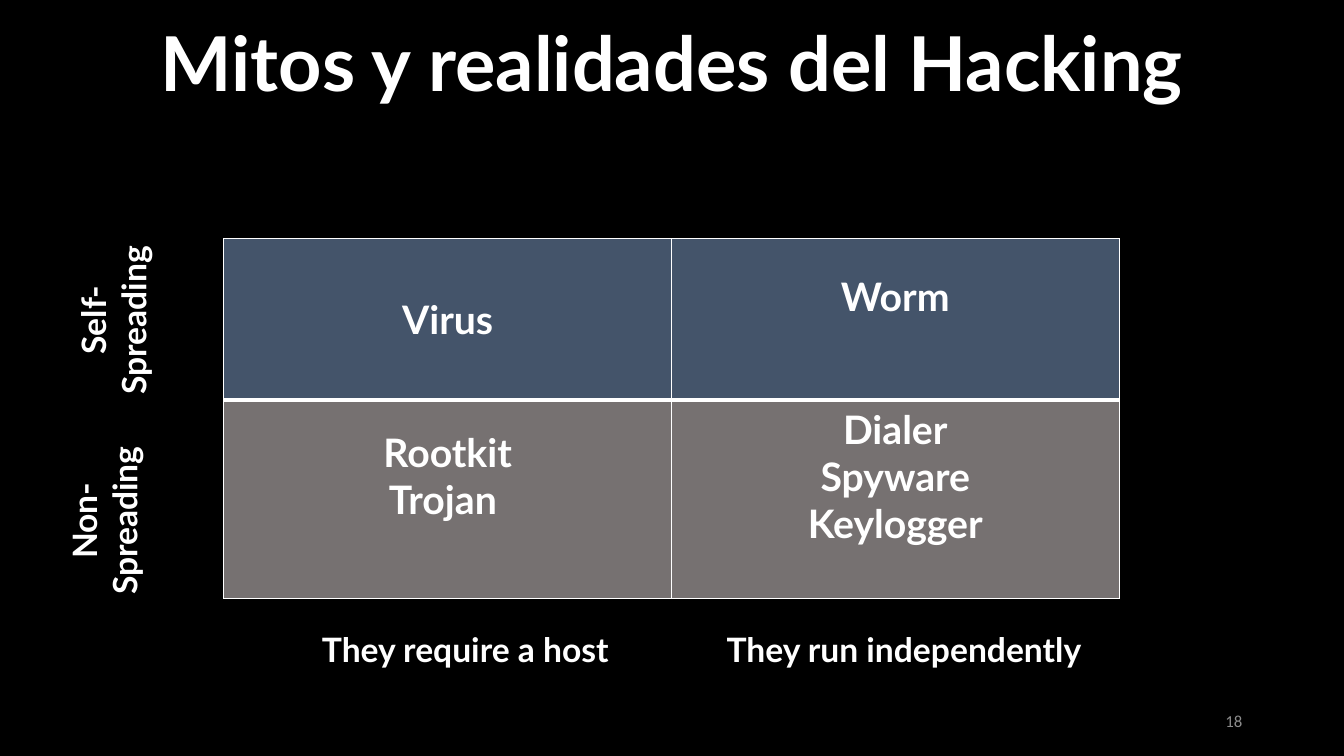
from dataclasses import dataclass

import lxml.etree
import pptx
import pptx.dml.color
import pptx.enum.text
import pptx.oxml.ns
import pptx.util

Inches = pptx.util.Inches
Pt = pptx.util.Pt
RGBColor = pptx.dml.color.RGBColor
Align = pptx.enum.text.PP_ALIGN
Anchor = pptx.enum.text.MSO_ANCHOR
AutoSize = pptx.enum.text.MSO_AUTO_SIZE


@dataclass(frozen=True)
class Theme:
    background: str = "000000"
    text: str = "FFFFFF"
    muted: str = "8C8C8C"
    spreading: str = "44546A"
    non_spreading: str = "767171"
    font: str = "Lato"
    number_font: str = "Calibri"
    title_size: int = 54
    cell_size: int = 28
    label_size: int = 24
    number_size: int = 12
    thin_border: int = 1
    thick_border: int = 3


@dataclass(frozen=True)
class Label:
    text: str
    left: float
    top: float
    width: float
    height: float
    rotation: int = 0
    wrap: bool = False


@dataclass(frozen=True)
class Quadrant:
    row: int
    column: int
    names: tuple[str, ...]
    bottom_margin: float = 0.05


THEME = Theme()
ROW_HEIGHTS = (1.6, 1.97)
COLUMN_WIDTHS = (4.44, 4.44)
ROW_FILLS = (THEME.spreading, THEME.non_spreading)
RAISED = 0.51

LABELS = (
    Label("They require a host", 3.08, 6.19, 3.07, 0.5),
    Label("They run independently", 7.08, 6.19, 3.77, 0.5),
    Label("Non-Spreading", -0.14, 4.71, 2.35, 0.91, 270, True),
    Label("Self-Spreading", 0.14, 2.72, 1.97, 0.91, 270, True),
)
QUADRANTS = (
    Quadrant(0, 0, ("Virus",)),
    Quadrant(0, 1, ("Worm",), RAISED),
    Quadrant(1, 0, ("Rootkit", "Trojan "), RAISED),
    Quadrant(1, 1, ("Dialer", "Spyware", "Keylogger"), RAISED),
)


def write(frame, lines: tuple[str, ...], size: int, color: str = THEME.text,
          font: str = THEME.font, bold: bool = True, align=Align.CENTER) -> None:
    for index, line in enumerate(lines):
        para = frame.paragraphs[0] if index == 0 else frame.add_paragraph()
        para.text = line
        para.alignment = align
        para.font.name = font
        para.font.size = Pt(size)
        para.font.bold = bold
        para.font.color.rgb = RGBColor.from_string(color)


def add_border(cell, side: str, points: int) -> None:
    qn = pptx.oxml.ns.qn
    properties = cell._tc.get_or_add_tcPr()
    line = lxml.etree.SubElement(properties, qn(f"a:ln{side}"), w=str(Pt(points)))
    fill = lxml.etree.SubElement(line, qn("a:solidFill"))
    lxml.etree.SubElement(fill, qn("a:srgbClr"), val=THEME.text)


def add_title(slide) -> None:
    title = slide.shapes.title
    title.left, title.top = Inches(0), Inches(0.11)
    title.width, title.height = Inches(13.33), Inches(1.01)
    frame = title.text_frame
    frame.auto_size = AutoSize.NONE
    frame.vertical_anchor = Anchor.TOP
    write(frame, ("Mitos y realidades del Hacking",), THEME.title_size)


def add_label(slide, label: Label) -> None:
    box = slide.shapes.add_textbox(Inches(label.left), Inches(label.top),
                                   Inches(label.width), Inches(label.height))
    box.rotation = label.rotation
    box.text_frame.word_wrap = label.wrap
    write(box.text_frame, (label.text,), THEME.label_size)


def add_quadrant(table, quadrant: Quadrant) -> None:
    cell = table.cell(quadrant.row, quadrant.column)
    thick_side = "B" if quadrant.row == 0 else "T"
    for side in "LRTB":
        add_border(cell, side, THEME.thick_border if side == thick_side else THEME.thin_border)
    cell.fill.solid()
    cell.fill.fore_color.rgb = RGBColor.from_string(ROW_FILLS[quadrant.row])
    cell.vertical_anchor = Anchor.MIDDLE
    cell.margin_bottom = Inches(quadrant.bottom_margin)
    write(cell.text_frame, quadrant.names, THEME.cell_size)


def add_matrix(slide) -> None:
    table = slide.shapes.add_table(len(ROW_HEIGHTS), len(COLUMN_WIDTHS), Inches(2.22), Inches(2.37),
                                   Inches(sum(COLUMN_WIDTHS)), Inches(sum(ROW_HEIGHTS))).table
    table.first_row = False
    table.horz_banding = False
    for row, height in zip(table.rows, ROW_HEIGHTS):
        row.height = Inches(height)
    for column, width in zip(table.columns, COLUMN_WIDTHS):
        column.width = Inches(width)
    for quadrant in QUADRANTS:
        add_quadrant(table, quadrant)


def add_page_number(slide) -> None:
    box = slide.shapes.add_textbox(Inches(9.42), Inches(6.95), Inches(3), Inches(0.4))
    box.text_frame.word_wrap = True
    box.text_frame.vertical_anchor = Anchor.MIDDLE
    write(box.text_frame, ("18",), THEME.number_size, THEME.muted,
          THEME.number_font, False, Align.RIGHT)


def main() -> None:
    deck = pptx.Presentation()
    deck.slide_width, deck.slide_height = Inches(13.33), Inches(7.5)
    page = deck.slides.add_slide(deck.slide_layouts[5])
    page.background.fill.solid()
    page.background.fill.fore_color.rgb = RGBColor.from_string(THEME.background)
    add_page_number(page)
    add_title(page)
    add_matrix(page)
    for label in LABELS:
        add_label(page, label)
    deck.save("out.pptx")


if __name__ == "__main__":
    main()
